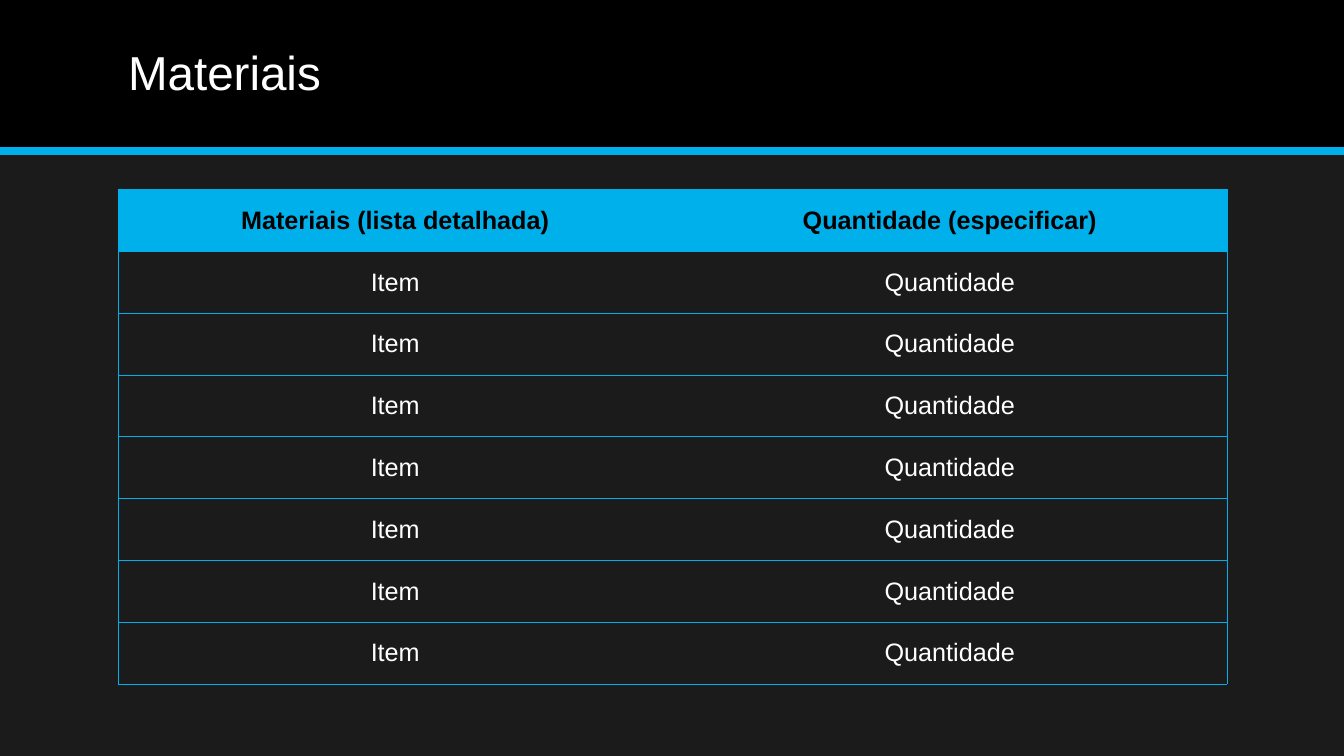
from lxml import etree
from pptx import Presentation
from pptx.dml.color import RGBColor
from pptx.enum.shapes import MSO_CONNECTOR, MSO_SHAPE
from pptx.enum.text import MSO_ANCHOR, PP_ALIGN
from pptx.oxml.ns import qn
from pptx.util import Inches, Pt

BLACK = RGBColor(0x00, 0x00, 0x00)
WHITE = RGBColor(0xFF, 0xFF, 0xFF)
CYAN = RGBColor(0x00, 0xB0, 0xEA)
CHARCOAL = RGBColor(0x1B, 0x1B, 0x1B)
FONT = "Arial"
ROWS = [("Materiais (lista detalhada)", "Quantidade (especificar)")]
ROWS += [("Item", "Quantidade")] * 7


def set_borders(cell, visible_sides):
    """Draw thin cyan lines on the visible sides (of L, R, T, B) and hide the others."""
    properties = cell._tc.get_or_add_tcPr()
    for side in "LRTB":
        line = etree.SubElement(properties, qn(f"a:ln{side}"), w=str(Pt(0.5)))
        if side in visible_sides:
            fill = etree.SubElement(line, qn("a:solidFill"))
            etree.SubElement(fill, qn("a:srgbClr"), val=str(CYAN))
        else:
            etree.SubElement(line, qn("a:noFill"))


deck = Presentation()
deck.slide_width, deck.slide_height = Inches(13.33), Inches(7.5)
page = deck.slides.add_slide(deck.slide_layouts[5])
page.background.fill.solid()
page.background.fill.fore_color.rgb = CHARCOAL

# Header band and its rule
band = page.shapes.add_shape(MSO_SHAPE.RECTANGLE, 0, 0, deck.slide_width, Inches(1.5))
band.shadow.inherit = False
band.fill.solid()
band.fill.fore_color.rgb = BLACK
band.line.fill.background()

rule = page.shapes.add_connector(
    MSO_CONNECTOR.STRAIGHT, 0, Inches(1.5), deck.slide_width, Inches(1.5))
rule.line.color.rgb = CYAN
rule.line.width = Pt(6)
etree.SubElement(rule.element.spPr, qn("a:effectLst"))

# Title, brought in front of the band
title = page.shapes.title
title.element.getparent().append(title.element)
title.left, title.top = Inches(1.17), Inches(0.14)
title.width, title.height = Inches(11), Inches(1.2)
title.text_frame.text = "Materiais"
title.text_frame.vertical_anchor = MSO_ANCHOR.MIDDLE
para = title.text_frame.paragraphs[0]
para.alignment = PP_ALIGN.LEFT
para.line_spacing = 0.9
para.font.name = FONT
para.font.size = Pt(34)
para.font.color.rgb = WHITE

# Materials table
table = page.shapes.add_table(
    len(ROWS), 2, Inches(1.17), Inches(1.88), Inches(11), Inches(4.91)).table
table.horz_banding = False
for row_index, texts in enumerate(ROWS):
    is_header = row_index == 0
    for column_index, text in enumerate(texts):
        cell = table.cell(row_index, column_index)
        set_borders(cell, "TB" + "LR"[column_index])
        if is_header:
            cell.fill.solid()
            cell.fill.fore_color.rgb = CYAN
        else:
            cell.fill.background()
        cell.vertical_anchor = MSO_ANCHOR.MIDDLE
        cell.text = text
        para = cell.text_frame.paragraphs[0]
        para.alignment = PP_ALIGN.CENTER
        para.font.name = FONT
        para.font.size = Pt(18)
        para.font.bold = is_header
        para.font.color.rgb = BLACK if is_header else WHITE

deck.save("out.pptx")
